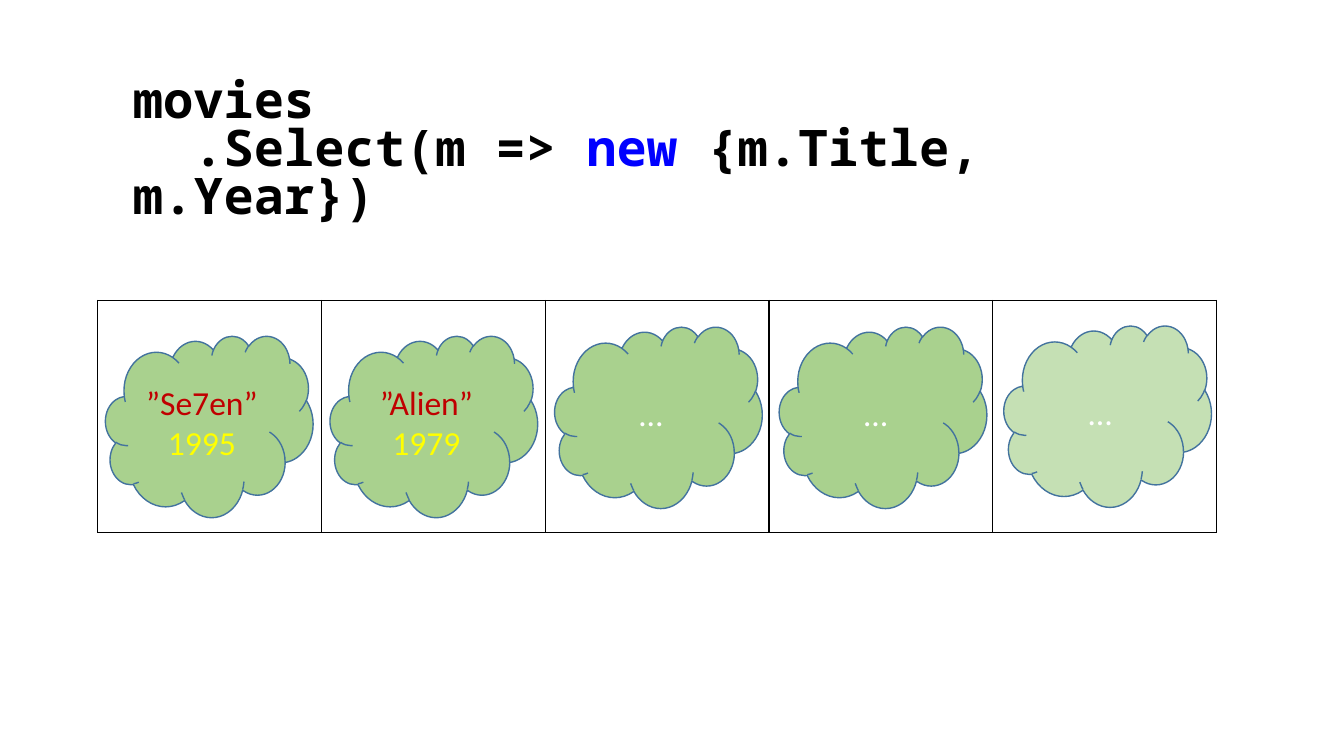
from pptx import Presentation
from pptx import util as u
from pptx.dml.color import RGBColor
from pptx.enum import shapes, text
from pptx.oxml import parse_xml
from pptx.oxml.ns import nsdecls


def color(hex_string):
    return RGBColor.from_string(hex_string)


def add_run(paragraph, words, size, font_name, hex_string, bold=False):
    run = paragraph.add_run()
    run.text = words
    run.font.size = u.Pt(size)
    run.font.name = font_name
    run.font.bold = bold
    run.font.color.rgb = color(hex_string)


presentation = Presentation()
presentation.slide_width = u.Cm(33.87)
presentation.slide_height = u.Cm(19.05)
slide = presentation.slides.add_slide(presentation.slide_layouts[6])

# Array of five cells with thin black borders
cell_count = 5
cell_width = 5.64
frame = slide.shapes.add_table(1, cell_count, u.Cm(2.46), u.Cm(7.57),
                               u.Cm(cell_count * cell_width), u.Cm(5.84))
for column in frame.table.columns:
    column.width = u.Cm(cell_width)
for cell in frame.table.iter_cells():
    cell.fill.background()
    properties = cell._tc.get_or_add_tcPr()
    for position, side in enumerate(("lnL", "lnR", "lnT", "lnB")):
        properties.insert(position, parse_xml(
            f'<a:{side} {nsdecls("a")} w="12700"><a:solidFill>'
            f'<a:srgbClr val="000000"/></a:solidFill></a:{side}>'))

# Query code
code_lines = [
    [("movies", "000000")],
    [("  .Select(m => ", "000000"), ("new", "0000FF"),
     (" {m.Title, m.Year})", "000000")],
]
code_box = slide.shapes.add_textbox(u.Cm(2.46), u.Cm(1.88), u.Cm(29.2), u.Cm(5.33))
code_frame = code_box.text_frame
code_frame.word_wrap = True
for index, code_line in enumerate(code_lines):
    paragraph = code_frame.paragraphs[0] if index == 0 else code_frame.add_paragraph()
    paragraph.line_spacing = 0.8
    paragraph._p.get_or_add_pPr().set("marL", str(u.Cm(0.64)))
    for words, hex_string in code_line:
        add_run(paragraph, words, 36, "Noto Sans Mono", hex_string, bold=True)

# One cloud per cell: top, fill, lines of text
clouds = [
    (8.46, "A9D18E", [("”Se7en”", "C00000"), ("1995", "FFFF00")]),
    (8.46, "A9D18E", [("”Alien”", "C00000"), ("1979", "FFFF00")]),
    (8.23, "A9D18E", [("…", "FFFFFF")]),
    (8.23, "A9D18E", [("…", "FFFFFF")]),
    (8.2, "C5E0B4", [("…", "FFFFFF")]),
]
for index, (top, fill, lines) in enumerate(clouds):
    cloud = slide.shapes.add_shape(
        shapes.MSO_SHAPE.CLOUD, u.Cm(2.66 + index * 5.66), u.Cm(top),
        u.Cm(5.23), u.Cm(4.57))
    cloud.shadow.inherit = False
    cloud.fill.solid()
    cloud.fill.fore_color.rgb = color(fill)
    cloud.line.color.rgb = color("43739E")
    cloud.line.width = u.Pt(1)
    cloud_frame = cloud.text_frame
    cloud_frame.word_wrap = True
    cloud_frame.vertical_anchor = text.MSO_ANCHOR.MIDDLE
    for number, (words, hex_string) in enumerate(lines):
        paragraph = cloud_frame.paragraphs[0] if number == 0 else cloud_frame.add_paragraph()
        paragraph.alignment = text.PP_ALIGN.CENTER
        add_run(paragraph, words, 24, "Calibri", hex_string)

presentation.save("out.pptx")
